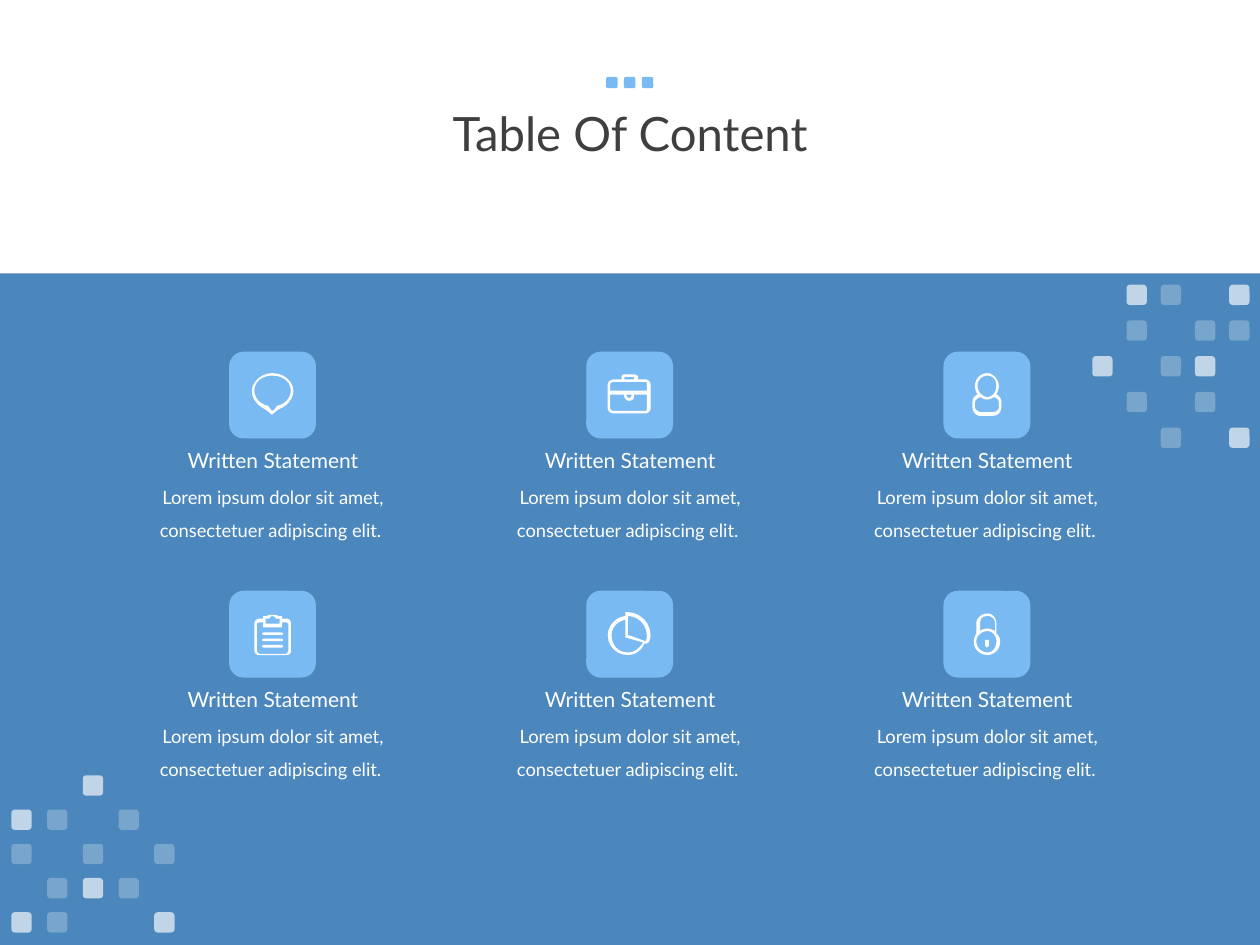
from lxml.etree import SubElement
from pptx import Presentation
from pptx.dml.color import RGBColor
from pptx.enum.shapes import MSO_SHAPE as Shape
from pptx.enum.text import MSO_ANCHOR as Anchor, MSO_AUTO_SIZE as AutoSize, PP_ALIGN as Align
from pptx.oxml.ns import qn
from pptx.util import Cm, Pt

WHITE, SKY, NAVY, DARK = "FFFFFF", "7ABAF2", "1060A6", "3F3F3F"


def paint(shape, color, opacity=100):
    shape.shadow.inherit = False
    shape.line.fill.background()
    shape.fill.solid()
    shape.fill.fore_color.rgb = RGBColor.from_string(color)
    if opacity < 100:
        tint = shape.fill._xPr.find(".//" + qn("a:srgbClr"))
        SubElement(tint, qn("a:alpha")).set("val", str(opacity * 1000))


def write(page, text, left, top, width, height, size, color, spacing, fit):
    box = page.shapes.add_textbox(Cm(left), Cm(top), Cm(width), Cm(height))
    frame = box.text_frame
    frame.word_wrap = True
    frame.auto_size = fit
    frame.vertical_anchor = Anchor.MIDDLE
    para = frame.paragraphs[0]
    para.alignment = Align.CENTER
    para.line_spacing = spacing
    span = para.add_run()
    span.text = text
    span.font.name = "Lato"
    span.font.size = Pt(size)
    span.font.color.rgb = RGBColor.from_string(color)


# Contours hold points (x, y) and Bezier curves (x1, y1, x2, y2, x, y), in 1/100 inch from the tile corner.
bubble = [
    [(34, 17), (26, 17, 18, 24, 18, 31), (18, 38, 23, 43, 29, 46), (34, 50), (39, 46),
     (46, 43, 51, 38, 51, 31), (51, 24, 44, 17, 34, 17)],
    [(38, 43), (36, 46), (34, 47), (31, 43), (25, 42, 20, 37, 20, 31), (20, 24, 26, 19, 34, 19),
     (43, 19, 49, 24, 49, 31), (49, 37, 44, 42, 38, 43)],
]
briefcase = [
    [(47, 22), (41, 22), (41, 20), (41, 19, 39, 18, 38, 18), (30, 18), (29, 18, 28, 19, 28, 20),
     (28, 22), (22, 22), (19, 22, 17, 24, 17, 26), (17, 45), (17, 47, 19, 49, 22, 49), (47, 49),
     (49, 49, 51, 47, 51, 45), (51, 26), (51, 24, 49, 22, 47, 22)],
    [(30, 21), (31, 20), (38, 20), (38, 22), (30, 22)],
    [(48, 45), (48, 46, 48, 47, 47, 47), (22, 47), (20, 47, 19, 46, 19, 45), (19, 34), (30, 34),
     (30, 35), (30, 37, 32, 39, 34, 39), (37, 39, 38, 37, 38, 35), (38, 34), (48, 34)],
    [(32, 35), (32, 34), (36, 34), (36, 35), (36, 35, 35, 37, 34, 37), (33, 37, 32, 35, 32, 35)],
    [(48, 31), (19, 31), (19, 26), (19, 25, 20, 24, 22, 24), (47, 24), (48, 24, 48, 25, 48, 26)],
]
person = [
    [(42, 34), (43, 32, 44, 30, 44, 27), (44, 22, 39, 17, 35, 17), (29, 17, 25, 22, 25, 27),
     (25, 30, 26, 32, 27, 34), (25, 35, 23, 37, 23, 40), (23, 44), (23, 48, 26, 51, 29, 51),
     (39, 51), (43, 51, 46, 48, 46, 44), (46, 40), (46, 37, 44, 35, 42, 34)],
    [(27, 27), (27, 22, 31, 19, 35, 19), (39, 19, 42, 22, 42, 27), (42, 32, 39, 36, 35, 36),
     (31, 36, 27, 32, 27, 27)],
    [(44, 44), (44, 46, 42, 48, 39, 48), (30, 48), (28, 48, 25, 46, 25, 44), (25, 41),
     (25, 38, 27, 37, 29, 36), (31, 37, 32, 38, 35, 38), (36, 38, 39, 37, 40, 36),
     (43, 37, 44, 38, 44, 41)],
]
clipboard = [
    [(45, 22), (42, 22), (42, 20), (39, 20), (38, 19, 37, 19, 34, 19), (33, 19, 31, 19, 30, 20),
     (27, 20), (27, 22), (24, 22), (22, 22, 20, 24, 20, 26), (20, 47), (20, 50, 22, 51, 24, 51),
     (45, 51), (48, 51, 49, 50, 49, 47), (49, 26), (49, 24, 48, 22, 45, 22)],
    [(29, 22), (32, 22), (32, 22, 33, 20, 34, 20), (36, 20, 37, 22, 37, 22), (40, 22), (40, 26),
     (29, 26)],
    [(47, 47), (47, 48, 46, 50, 45, 50), (24, 50), (23, 50, 22, 48, 22, 47), (22, 26), (24, 25),
     (27, 25), (27, 29), (42, 29), (42, 25), (45, 25), (47, 26)],
]
for y in (33, 38, 43):
    clipboard.append([(27, y), (42, y), (43, y + 1), (42, y + 2), (27, y + 2), (26, y + 1)])
pie = [
    [(33, 17), (31, 17), (31, 20), (23, 21, 17, 28, 17, 35), (17, 44, 24, 51, 33, 51),
     (39, 51, 44, 47, 46, 42), (48, 42), (50, 41, 51, 38, 51, 35), (51, 25, 42, 17, 33, 17)],
    [(33, 49), (25, 49, 20, 43, 20, 35), (20, 29, 25, 24, 31, 23), (31, 37), (45, 41),
     (42, 46, 38, 49, 33, 49)],
    [(47, 40), (33, 35), (33, 20), (41, 20, 48, 27, 48, 35), (48, 37, 48, 39, 47, 40)],
]
padlock = [
    [(35, 39), (33, 39), (33, 43), (33, 44, 34, 45, 35, 45), (35, 45, 36, 44, 36, 43), (36, 39)],
    [(42, 34), (42, 26), (42, 22, 39, 18, 35, 18), (30, 18, 26, 22, 26, 26), (26, 34),
     (25, 36, 24, 38, 24, 40), (24, 47, 29, 51, 35, 51), (40, 51, 45, 47, 45, 40),
     (45, 38, 44, 36, 42, 34)],
    [(29, 26), (29, 22, 31, 20, 35, 20), (38, 20, 41, 22, 41, 26), (41, 32),
     (39, 31, 37, 30, 35, 30), (32, 30, 30, 31, 29, 32)],
    [(35, 49), (30, 49, 26, 45, 26, 40), (26, 36, 30, 32, 35, 32), (39, 32, 42, 36, 42, 40),
     (42, 45, 39, 49, 35, 49)],
]

deck = Presentation()
deck.slide_width, deck.slide_height = Cm(25.4), Cm(19.05)
page = deck.slides.add_slide(deck.slide_layouts[6])

write(page, "Table Of Content", 1.75, 0.91, 21.9, 3.68, 27, DARK, 0.9, AutoSize.NONE)
band = page.shapes.add_shape(Shape.RECTANGLE, 0, Cm(5.51), Cm(25.4), Cm(13.54))
paint(band, NAVY, 75)

icons = [bubble, briefcase, person, clipboard, pie, padlock]
unit = Cm(2.54) / 100
fine = 100
steps = 6
for index, icon in enumerate(icons):
    row, column = divmod(index, 3)
    left, top = 4.62 + 7.2 * column, 7.09 + 4.82 * row
    tile = page.shapes.add_shape(Shape.ROUNDED_RECTANGLE, Cm(left), Cm(top), Cm(1.75), Cm(1.75))
    paint(tile, SKY)

    pen = None
    for contour in icon:
        points = [contour[0]]
        for segment in contour[1:]:
            if len(segment) == 2:
                points.append(segment)
                continue
            x0, y0 = points[-1]
            x1, y1, x2, y2, x3, y3 = segment
            for step in range(1, steps + 1):
                t = step / steps
                a, b, c, d = (1 - t) ** 3, 3 * t * (1 - t) ** 2, 3 * t * t * (1 - t), t ** 3
                points.append((a * x0 + b * x1 + c * x2 + d * x3,
                               a * y0 + b * y1 + c * y2 + d * y3))
        points = [(x * fine, y * fine) for x, y in points]
        if pen is None:
            pen = page.shapes.build_freeform(*points[0], scale=unit / fine)
        else:
            pen.move_to(*points[0])
        pen.add_line_segments(points[1:], close=True)
    paint(pen.convert_to_shape(Cm(left), Cm(top)), WHITE)

    write(page, "Lorem ipsum dolor sit amet, consectetuer adipiscing elit. ",
          left - 2.29, top + 2.4, 6.35, 1.52, 10.5, WHITE, 1.5, AutoSize.SHAPE_TO_FIT_TEXT)
    write(page, "Written Statement",
          left - 2.29, top + 1.8, 6.35, 0.76, 12, WHITE, 1, AutoSize.SHAPE_TO_FIT_TEXT)

opacities = {"#": 65, "o": 25}
mosaics = [
    (0.23, 15.63, 0.72, 0.69, ["..#..", "#o.o.", "o.o.o", ".o#o.", "#o..#"]),
    (22.02, 5.74, 0.69, 0.72, [".#o.#", ".o.oo", "#.o#.", ".o.o.", "..o.#"]),
]
for left, top, pitch_x, pitch_y, rows in mosaics:
    group = page.shapes.add_group_shape()
    for row, marks in enumerate(rows):
        for column, mark in enumerate(marks):
            if mark in opacities:
                square = group.shapes.add_shape(
                    Shape.ROUNDED_RECTANGLE, Cm(left + pitch_x * column),
                    Cm(top + pitch_y * row), Cm(0.41), Cm(0.41))
                paint(square, WHITE, opacities[mark])

dots = page.shapes.add_group_shape()
for column in range(3):
    dot = dots.shapes.add_shape(
        Shape.ROUNDED_RECTANGLE, Cm(12.22 + 0.36 * column), Cm(1.55), Cm(0.23), Cm(0.23))
    paint(dot, SKY)

deck.save("out.pptx")
